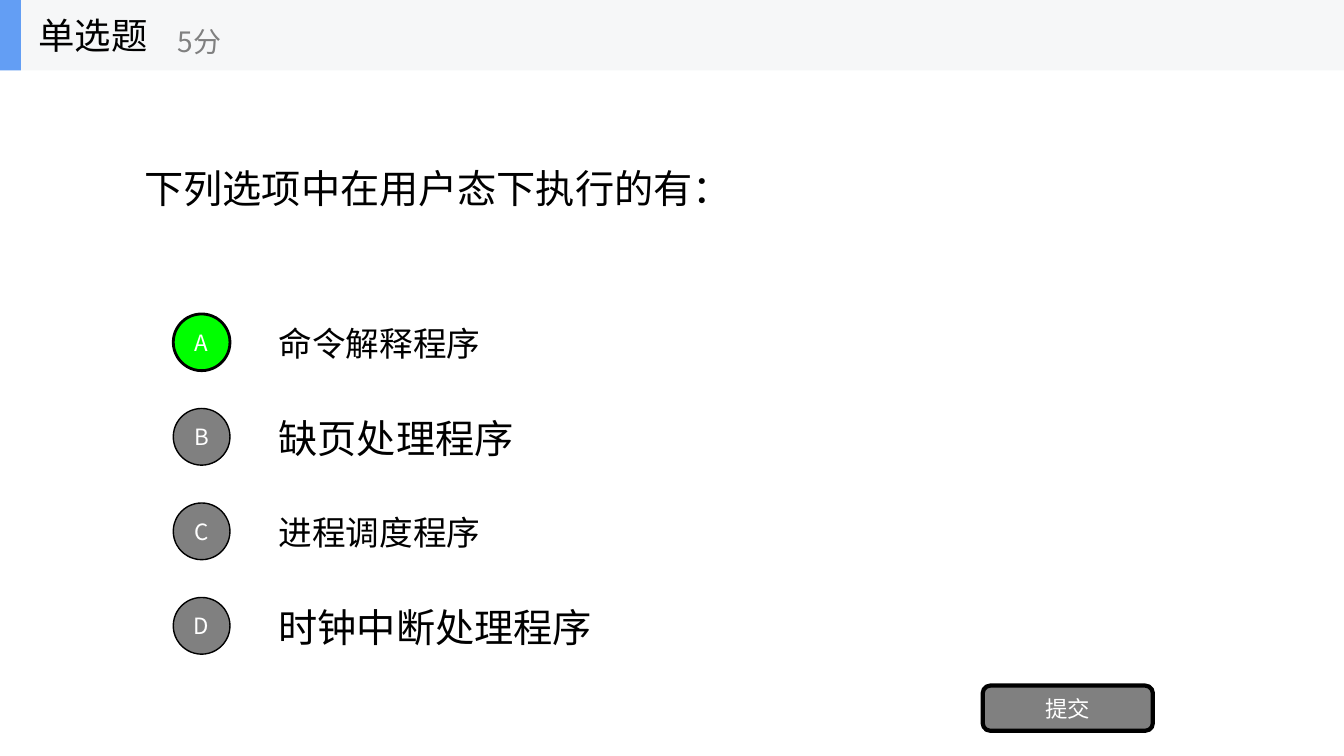
from lxml.etree import SubElement
from pptx import Presentation
from pptx.dml.color import RGBColor
from pptx.enum.shapes import MSO_SHAPE
from pptx.enum.text import MSO_ANCHOR, PP_ALIGN
from pptx.oxml.ns import qn
from pptx.util import Emu, Pt

EMU_PER_PX = 9525
FONT = "Noto Sans CJK SC"
BLACK, WHITE, GRAY, GREEN = "000000", "FFFFFF", "808080", "00FF00"
HEADER_FILL, ACCENT = "F6F7F8", "639EF4"

# letter, wording, text size, circle fill, circle line width
OPTIONS = [
    ("A", "命令解释程序", 24, GREEN, 2),
    ("B", "缺页处理程序", 28, GRAY, 1),
    ("C", "进程调度程序", 24, GRAY, 1),
    ("D", "时钟中断处理程序", 28, GRAY, 1),
]


def px(length):
    return Emu(length * EMU_PER_PX)


def color(hex_value):
    return RGBColor.from_string(hex_value)


def write(shape, text, size, text_color, align=PP_ALIGN.LEFT):
    frame = shape.text_frame
    frame.word_wrap = True
    frame.vertical_anchor = MSO_ANCHOR.MIDDLE
    paragraph = frame.paragraphs[0]
    paragraph.text = text
    paragraph.alignment = align
    paragraph.line_spacing = 1.0
    paragraph.space_before = Pt(0)
    font = paragraph.font
    font.size = Pt(size)
    font.color.rgb = color(text_color)
    font.name = FONT
    # East Asian typeface
    properties = paragraph._p.pPr.find(qn("a:defRPr"))
    SubElement(properties, qn("a:ea")).set("typeface", FONT)


def add_text(slide, box, text, size, text_color):
    write(slide.shapes.add_textbox(*map(px, box)), text, size, text_color)


def add_block(slide, kind, box, fill, line_width=0):
    shape = slide.shapes.add_shape(kind, *map(px, box))
    shape.shadow.inherit = False
    shape.fill.solid()
    shape.fill.fore_color.rgb = color(fill)
    if line_width:
        shape.line.color.rgb = color(BLACK)
        shape.line.width = Pt(line_width)
    else:
        shape.line.fill.background()
    return shape


def add_question(slide, box):
    title = slide.shapes.title
    title.left, title.top, title.width, title.height = map(px, box)
    write(title, "下列选项中在用户态下执行的有：", 28, BLACK)


def add_options(slide, box):
    left, top, width, height = box
    pitch, row_height, text_indent, circle_size = 90, 67, 91, 54
    for index, (letter, wording, size, fill, line_width) in enumerate(OPTIONS):
        row_top = top + index * pitch
        add_text(slide, (left + text_indent, row_top, width - text_indent, row_height),
                 wording, size, BLACK)
        circle = add_block(slide, MSO_SHAPE.OVAL,
                           (left, row_top + (row_height - circle_size) // 2,
                            circle_size, circle_size), fill, line_width)
        circle.text_frame.margin_left = circle.text_frame.margin_right = 0
        write(circle, letter, 16, WHITE, PP_ALIGN.CENTER)


def add_submit_button(slide, box):
    button = add_block(slide, MSO_SHAPE.ROUNDED_RECTANGLE, box, GRAY, 3)
    write(button, "提交", 16, WHITE, PP_ALIGN.CENTER)


def add_header(slide, box):
    left, top, width, height = box
    add_block(slide, MSO_SHAPE.RECTANGLE, box, HEADER_FILL)
    add_block(slide, MSO_SHAPE.RECTANGLE, (left, top, 20, height), ACCENT)
    add_text(slide, (left + 27, top, 200, height), "单选题", 26, BLACK)
    add_text(slide, (left + 160, top + 12, 240, height - 13), "5分", 20, GRAY)


def main():
    presentation = Presentation()
    presentation.slide_width, presentation.slide_height = px(1280), px(720)
    slide = presentation.slides.add_slide(presentation.slide_layouts[5])
    add_question(slide, (128, 67, 1024, 224))
    add_options(slide, (165, 293, 987, 337))
    add_submit_button(slide, (936, 653, 162, 43))
    add_header(slide, (0, 0, 1280, 67))
    presentation.save("out.pptx")


if __name__ == "__main__":
    main()
